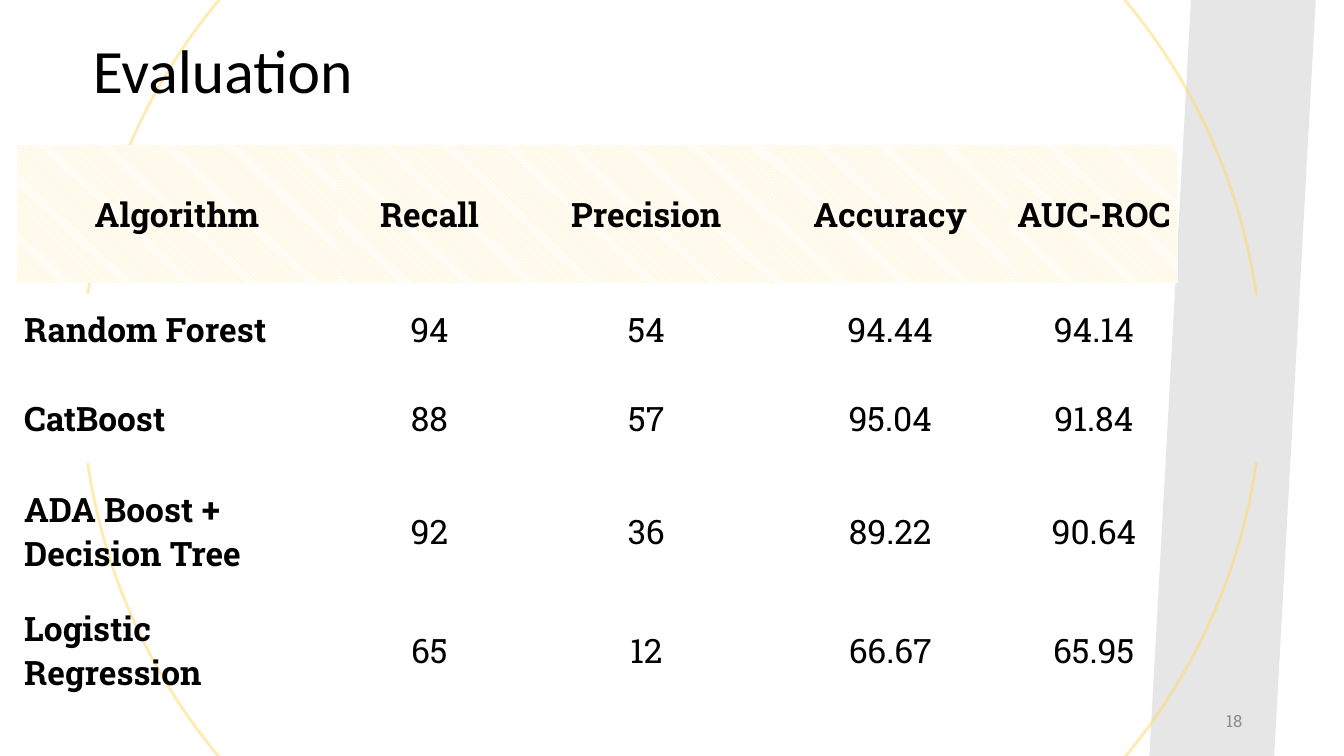
from lxml import etree
from pptx import Presentation
from pptx import util as u
from pptx.dml.color import RGBColor
from pptx.enum import dml, shapes, text
from pptx.oxml.ns import qn

PX = 9144  # EMU per px, 100 px to the inch
BODY_FONT = "Roboto Slab"
PLAIN_TABLE_STYLE = "{2D5ABB26-0587-4C30-8999-92F81FD0307C}"

COLUMN_WIDTHS = [317, 184, 246, 238, 166]
ROW_HEIGHTS = [137, 91, 87, 137, 99]
RESULTS = [
    ["Algorithm", "Recall", "Precision", "Accuracy", "AUC-ROC"],
    ["Random Forest", "94", "54", "94.44", "94.14"],
    ["CatBoost", "88", "57", "95.04", "91.84"],
    ["ADA Boost + Decision Tree", "92", "36", "89.22", "90.64"],
    ["Logistic Regression", "65", "12", "66.67", "65.95"],
]


def px(*lengths):
    return [u.Emu(length * PX) for length in lengths]


def color(hex_code):
    return RGBColor.from_string(hex_code)


def style_text(paragraph, size, font_name, hex_code, bold=False, align=text.PP_ALIGN.LEFT):
    paragraph.alignment = align
    for run in paragraph.runs:
        run.font.size = u.Pt(size)
        run.font.name = font_name
        run.font.bold = bold
        run.font.color.rgb = color(hex_code)


def set_margins(box, left, top, right, bottom):
    (box.margin_left, box.margin_top,
     box.margin_right, box.margin_bottom) = px(left, top, right, bottom)


def add_band(slide):
    band = slide.shapes.add_shape(shapes.MSO_SHAPE.PARALLELOGRAM, *px(1140, 0, 165, 750))
    band.shadow.inherit = False
    band.fill.solid()
    band.fill.fore_color.rgb = color("E7E6E6")
    band.line.fill.background()


def add_ring_half(slide, flipped):
    ring = slide.shapes.add_shape(shapes.MSO_SHAPE.ARC, *px(81, -210, 1171, 1171))
    ring.shadow.inherit = False
    # Angles in degrees; an adjustment unit is 100000/60000 of a degree
    for index, degrees in enumerate((188.24, 351.89)):
        ring.adjustments[index] = degrees * 0.6
    ring.fill.background()
    ring.line.width = u.Pt(2)
    ring.line.color.rgb = color("FFD966")
    # Half-transparent line
    line_color = ring.line._get_or_add_ln().find(".//" + qn("a:srgbClr"))
    etree.SubElement(line_color, qn("a:alpha")).set("val", "50000")
    if flipped:
        ring._element.spPr.find(qn("a:xfrm")).set("flipV", "1")


def add_slide_number(slide, number):
    frame = slide.shapes.add_textbox(*px(942, 695, 300, 40)).text_frame
    frame.word_wrap = True
    frame.vertical_anchor = text.MSO_ANCHOR.MIDDLE
    frame.text = number
    style_text(frame.paragraphs[0], 12, BODY_FONT, "8C8C8C", align=text.PP_ALIGN.RIGHT)


def set_title(slide, wording):
    title = slide.shapes.title
    title.left, title.top, title.width, title.height = px(92, 40, 1150, 67)
    frame = title.text_frame
    frame.text = wording
    frame.word_wrap = True
    frame.auto_size = text.MSO_AUTO_SIZE.SHAPE_TO_FIT_TEXT
    frame.vertical_anchor = text.MSO_ANCHOR.TOP
    set_margins(frame, 0, 0, 0, 0)
    frame.paragraphs[0].line_spacing = 0.9
    style_text(frame.paragraphs[0], 44, "Calibri", "000000")
    # Bring the title in front of the backdrop
    slide.shapes._spTree.append(title._element)


def fill_cell(cell, wording, is_header, is_name):
    cell.text = wording
    cell.vertical_anchor = text.MSO_ANCHOR.MIDDLE
    set_margins(cell, 7, 0, 7, 0)
    align = text.PP_ALIGN.CENTER if is_header or not is_name else text.PP_ALIGN.LEFT
    style_text(cell.text_frame.paragraphs[0], 24, BODY_FONT, "000000",
               is_header or is_name, align)
    if is_header:
        cell.fill.patterned()
        cell.fill.pattern = dml.MSO_PATTERN.DARK_DOWNWARD_DIAGONAL
        cell.fill.fore_color.rgb = color("FFE699")
        cell.fill.back_color.rgb = color("FFFFFF")
    else:
        cell.fill.background()


def add_results_table(slide):
    table = slide.shapes.add_table(
        len(RESULTS), len(COLUMN_WIDTHS),
        *px(17, 144, sum(COLUMN_WIDTHS), sum(ROW_HEIGHTS))).table
    table.horz_banding = False
    table._tbl.tblPr.find(qn("a:tableStyleId")).text = PLAIN_TABLE_STYLE
    for column, width in zip(table.columns, px(*COLUMN_WIDTHS)):
        column.width = width
    for row, height in zip(table.rows, px(*ROW_HEIGHTS)):
        row.height = height
    for r, values in enumerate(RESULTS):
        for c, wording in enumerate(values):
            fill_cell(table.cell(r, c), wording, r == 0, c == 0)


def main():
    deck = Presentation()
    deck.slide_width, deck.slide_height = px(1333, 750)
    slide = deck.slides.add_slide(deck.slide_layouts[5])

    # Backdrop
    add_band(slide)
    for flipped in (False, True):
        add_ring_half(slide, flipped)

    # Content
    add_slide_number(slide, "18")
    set_title(slide, "Evaluation")
    add_results_table(slide)
    deck.save("out.pptx")


if __name__ == "__main__":
    main()
